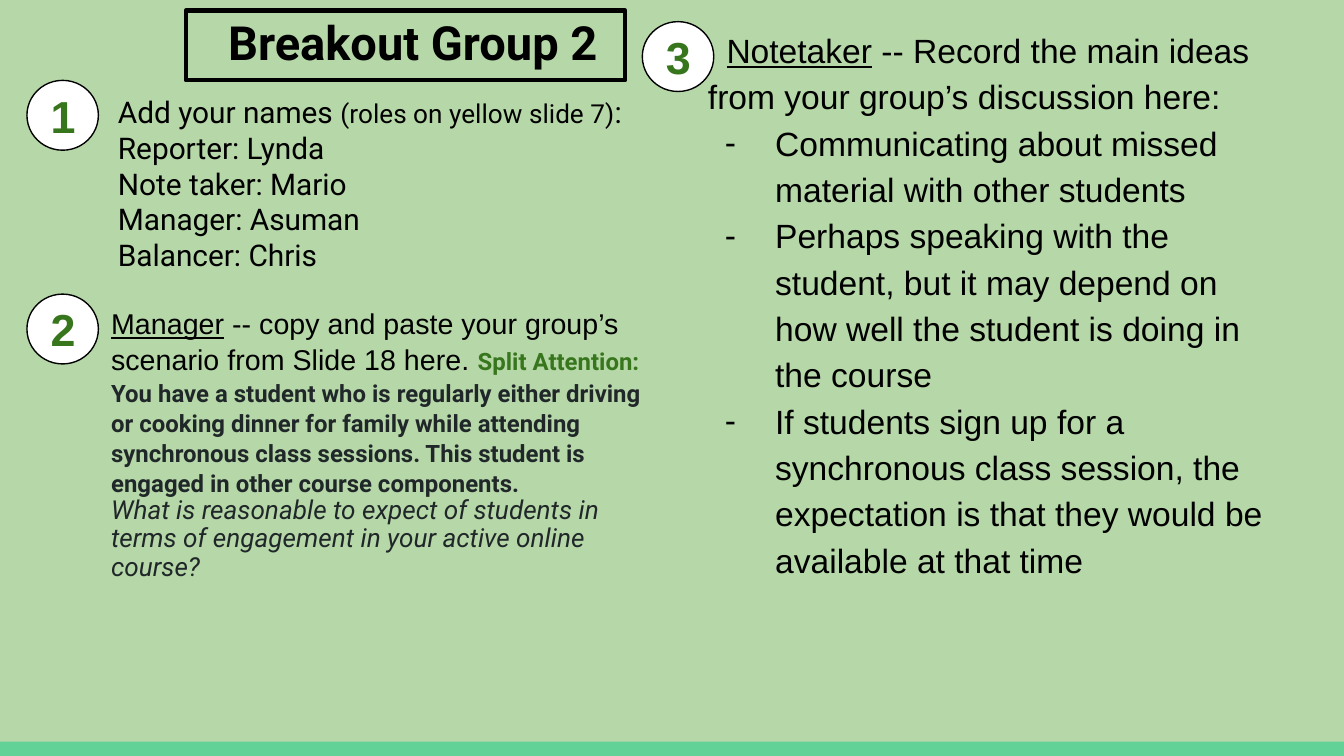
from pptx import Presentation
from pptx.dml.color import RGBColor
from pptx.enum.shapes import MSO_SHAPE as Kind
from pptx.enum.text import MSO_ANCHOR as Anchor, MSO_AUTO_SIZE as Fit, PP_ALIGN as Align
from pptx.oxml.xmlchemy import OxmlElement as Node
from pptx.util import Cm, Pt

BLACK, GREEN, DARK = "000000", "38761D", "202729"


def color(code):
    return RGBColor.from_string(code)


def write(para, text, size, face, code=BLACK, bold=False, italic=False, under=False):
    run = para.add_run()
    run.text = text
    font = run.font
    font.size, font.name = Pt(size), face
    font.bold, font.italic, font.underline = bold, italic, under
    font.color.rgb = color(code)


deck = Presentation()
deck.slide_width, deck.slide_height = Cm(25.4), Cm(14.29)
slide = deck.slides.add_slide(deck.slide_layouts[3])
slide.background.fill.solid()
slide.background.fill.fore_color.rgb = color("B6D7A8")
shapes = slide.shapes
title, left, right = slide.placeholders

# Bottom band
band = shapes.add_shape(Kind.RECTANGLE, Cm(0), Cm(14.02), Cm(25.4), Cm(0.27))
band.shadow.inherit = False
band.fill.solid()
band.fill.fore_color.rgb = color("63D297")
band.line.fill.background()

# Title and its frame
box = shapes.add_shape(Kind.RECTANGLE, Cm(3.51), Cm(0.2), Cm(8.31), Cm(1.32))
box.shadow.inherit = False
box.fill.background()
box.line.color.rgb = color(BLACK)
box.line.width = Pt(2.25)
write(title.text_frame.paragraphs[0], "Breakout Group 2", 25.2, "Roboto", bold=True)

# Scenario on the left
task = left.text_frame.paragraphs[0]
task.line_spacing = 1.05
write(task, "Manager", 15.3, "Arial", under=True)
write(task, " -- copy and paste your group’s scenario from Slide 18 here. ", 15.3, "Arial")
write(task, "Split Attention:", 12.8, "Roboto", GREEN, bold=True)
write(task, " You have a student who is regularly either driving or cooking dinner for family "
      "while attending synchronous class sessions. This student is engaged in other course "
      "components.", 12.8, "Roboto", DARK, bold=True)
query = left.text_frame.add_paragraph()
query.line_spacing = 0.9
write(query, "What is reasonable to expect of students in terms of engagement in your active "
      "online course?", 14, "Roboto", DARK, italic=True)

# Notes on the right
head = right.text_frame.paragraphs[0]
write(head, "Notetaker", 18, "Arial", under=True)
write(head, " -- Record the main ideas from your group’s discussion here:", 18, "Arial")
notes = [
    "Communicating about missed material with other students",
    "Perhaps speaking with the student, but it may depend on how well the student is doing "
    "in the course",
    "If students sign up for a synchronous class session, the expectation is that they would "
    "be available at that time",
]
for note in notes:
    write(right.text_frame.add_paragraph(), note, 18, "Arial")
for para in right.text_frame.paragraphs:
    para.line_spacing = 1.15

# Names and roles
names = shapes.add_textbox(Cm(1.98), Cm(1.52), Cm(10.03), Cm(3.94))
first = names.text_frame.paragraphs[0]
write(first, "Add your names ", 16, "Roboto")
write(first, "(roles on yellow slide 7)", 14, "Roboto")
write(first, ":", 16, "Roboto")
for role in ["Reporter: Lynda", "Note taker: Mario", "Manager: Asuman", "Balancer: Chris"]:
    write(names.text_frame.add_paragraph(), role, 16, "Roboto")

# Places, margins and plain paragraphs
spots = [
    (title, 4.06, 0, 8.31, 1.32),
    (left, 1.85, 5.51, 10.57, 8.31),
    (right, 13.13, 0.2, 11.35, 12.29),
]
for shape, x, y, wide, high in spots:
    shape.left, shape.top, shape.width, shape.height = Cm(x), Cm(y), Cm(wide), Cm(high)
    shape.text_frame.vertical_anchor = Anchor.TOP
    for para in shape.text_frame.paragraphs:
        para.alignment = Align.LEFT
        para.space_before = Pt(0)
        props = para._p.get_or_add_pPr()
        props.set("marL", "0")
        props.set("indent", "0")
        props.append(Node("a:buNone"))

# First-line indent, then dashes with a hanging indent
head._p.pPr.set("indent", str(Cm(0.35)))
for para in right.text_frame.paragraphs[1:]:
    props = para._p.pPr
    props.set("marL", str(Cm(1.27)))
    props.set("indent", str(Cm(-0.95)))
    props.remove(props[-1])
    dash = Node("a:buChar")
    dash.set("char", "-")
    props.append(dash)

# Numbered circles
for num, (x, y) in enumerate([(0.51, 1.52), (0.51, 5.56), (12.14, 0.41)], 1):
    disc = shapes.add_shape(Kind.OVAL, Cm(x), Cm(y), Cm(1.35), Cm(1.32))
    disc.shadow.inherit = False
    disc.fill.solid()
    disc.fill.fore_color.rgb = color("FFFFFF")
    disc.line.color.rgb = color(BLACK)
    disc.line.width = Pt(0.75)
    disc.text_frame.vertical_anchor = Anchor.MIDDLE
    para = disc.text_frame.paragraphs[0]
    para.alignment = Align.CENTER
    write(para, str(num), 24, "Arial", GREEN, bold=True)

# Equal insets in every text frame
for shape in shapes:
    frame = shape.text_frame
    frame.word_wrap = True
    frame.auto_size = Fit.NONE
    frame.margin_left = frame.margin_right = Cm(0.25)
    frame.margin_top = frame.margin_bottom = Cm(0.25)

deck.save("out.pptx")
